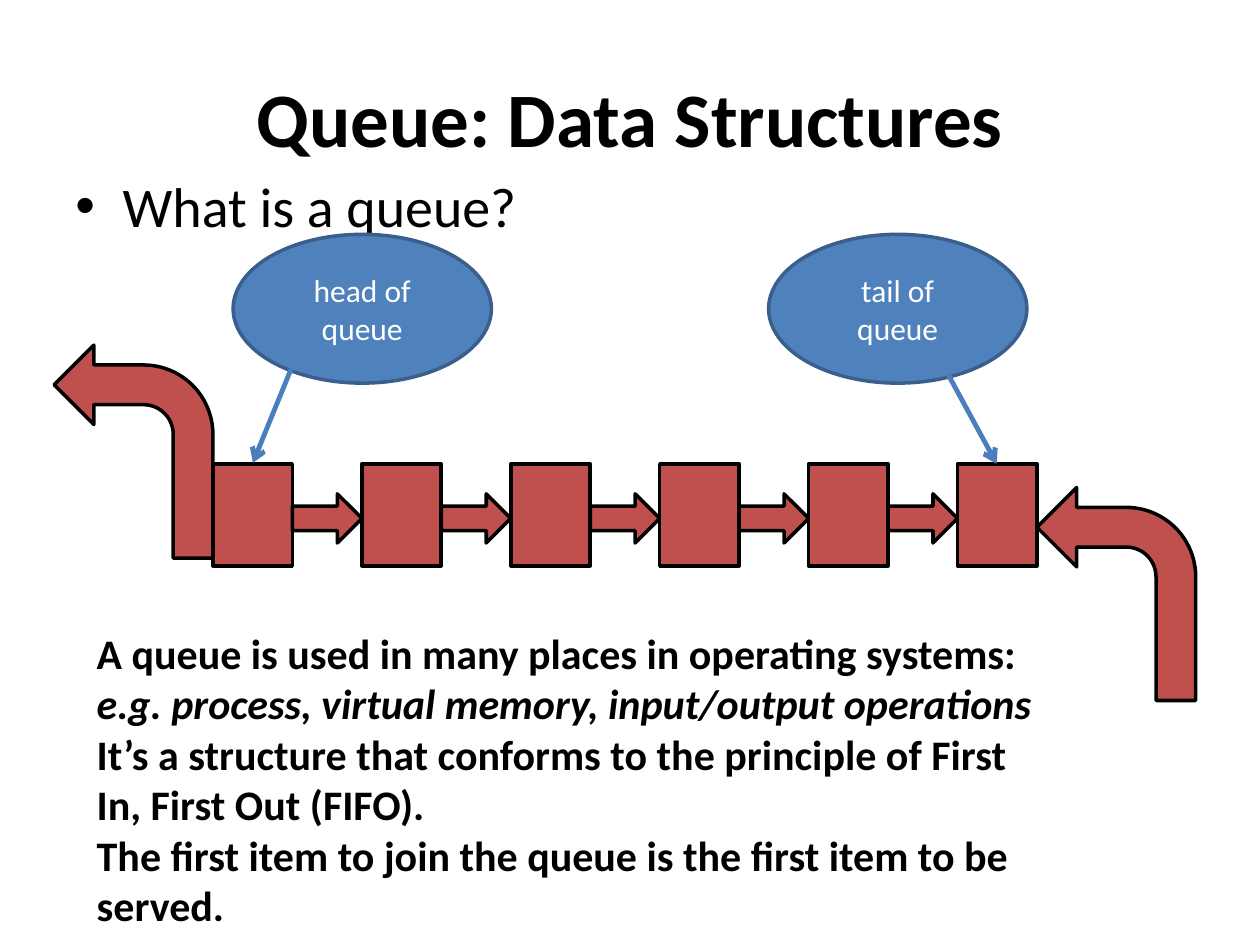
from lxml import etree
from pptx import Presentation
from pptx.dml.color import RGBColor
from pptx.enum.shapes import MSO_CONNECTOR, MSO_SHAPE
from pptx.enum.text import MSO_ANCHOR, PP_ALIGN
from pptx.oxml.ns import qn
from pptx.util import Pt

RECTANGLE, ELLIPSE = MSO_SHAPE.RECTANGLE, MSO_SHAPE.OVAL
RIGHT_ARROW, BENT_ARROW = MSO_SHAPE.RIGHT_ARROW, MSO_SHAPE.BENT_ARROW
STRAIGHT = MSO_CONNECTOR.STRAIGHT
LEFT, CENTER = PP_ALIGN.LEFT, PP_ALIGN.CENTER
TOP, MIDDLE = MSO_ANCHOR.TOP, MSO_ANCHOR.MIDDLE

FONT = "Calibri"
COLORS = {
    "text": "000000",
    "label": "FFFFFF",
    "item": "C0504D",
    "item line": "000000",
    "callout": "4F81BD",
    "callout line": "3A5F8C",
    "pointer": "4B7EBC",
}

# Queue layout, in points
ITEM_COUNT = 6
ITEM_LEFT, ITEM_TOP = 121.7, 265
ITEM_WIDTH, ITEM_HEIGHT = 45.4, 58.3
ITEM_PITCH = 85.1
LINK_TOP, LINK_HEIGHT = 282.2, 28.1
BENT_WIDTH, BENT_HEIGHT = 90.7, 121.7

USES = [
    [("A queue is used in many places in operating systems: ", False),
     ("e.g. process, virtual memory, input/output operations", True)],
    [("It’s a structure that conforms to the principle of First In, "
      "First Out (FIFO).", False)],
    [("The first item to join the queue is the first item to be served.",
      False)],
]


def color(name):
    return RGBColor.from_string(COLORS[name])


def write_text(holder, paragraphs, size, ink="text", bold=False, align=LEFT,
               anchor=TOP, bullet=False):
    """Fill a shape with paragraphs, each a list of (text, italic) spans."""
    frame = holder.text_frame
    frame.word_wrap = True
    frame.vertical_anchor = anchor
    for index, spans in enumerate(paragraphs):
        para = frame.add_paragraph() if index else frame.paragraphs[0]
        para.alignment = align
        if bullet:
            add_bullet(para)
        for text, italic in spans:
            span = para.add_run()
            span.text = text
            span.font.name = FONT
            span.font.size = Pt(size)
            span.font.bold = bold
            span.font.italic = italic
            span.font.color.rgb = color(ink)


def add_bullet(para):
    properties = para._p.get_or_add_pPr()
    properties.set("marL", str(Pt(27)))
    properties.set("indent", str(-Pt(27)))
    etree.SubElement(properties, qn("a:buFont"), typeface="Arial")
    etree.SubElement(properties, qn("a:buChar"), char="•")


def add_text(page, left, top, width, height, paragraphs, **text_format):
    box = page.shapes.add_textbox(Pt(left), Pt(top), Pt(width), Pt(height))
    write_text(box, paragraphs, **text_format)


def add_shape(page, kind, left, top, width, height, fill="item"):
    shape = page.shapes.add_shape(kind, Pt(left), Pt(top), Pt(width), Pt(height))
    shape.shadow.inherit = False
    shape.fill.solid()
    shape.fill.fore_color.rgb = color(fill)
    shape.line.color.rgb = color(fill + " line")
    shape.line.width = Pt(2)
    return shape


def add_bent_arrow(page, left, top):
    """Add an arrow that rises and then turns to the left."""
    arrow = add_shape(page, BENT_ARROW, left, top, BENT_WIDTH, BENT_HEIGHT)
    arrow._element.spPr.find(qn("a:xfrm")).set("flipH", "1")


def add_callout(page, left, label):
    callout = add_shape(page, ELLIPSE, left, 133.9, 147.6, 85, fill="callout")
    write_text(callout, [[(label, False)]], size=18, ink="label",
               align=CENTER, anchor=MIDDLE)


def add_pointer(page, *ends):
    pointer = page.shapes.add_connector(STRAIGHT, *map(Pt, ends))
    pointer.line.color.rgb = color("pointer")
    pointer.line.width = Pt(2.75)
    etree.SubElement(pointer.line._get_or_add_ln(), qn("a:tailEnd"), type="arrow")
    etree.SubElement(pointer._element.spPr, qn("a:effectLst"))


def add_queue(page):
    for index in range(ITEM_COUNT):
        left = ITEM_LEFT + index * ITEM_PITCH
        add_shape(page, RECTANGLE, left, ITEM_TOP, ITEM_WIDTH, ITEM_HEIGHT)
        if index < ITEM_COUNT - 1:
            add_shape(page, RIGHT_ARROW, left + ITEM_WIDTH, LINK_TOP,
                      ITEM_PITCH - ITEM_WIDTH, LINK_HEIGHT)


def main():
    deck = Presentation()
    deck.slide_width, deck.slide_height = Pt(720), Pt(540)
    page = deck.slides.add_slide(deck.slide_layouts[6])

    # Question and title
    add_text(page, 36, 94.5, 648, 388, [[("What is a queue?", False)]],
             size=32, bullet=True)
    add_text(page, 36, 21.6, 648, 90, [[("Queue: Data Structures", False)]],
             size=44, bold=True, align=CENTER, anchor=MIDDLE)

    # Queue with the way out at its head
    add_queue(page)
    add_bent_arrow(page, ITEM_LEFT - BENT_WIDTH, 197.2)

    # Explanation
    add_text(page, 48.2, 355, 561.6, 181.4, USES, size=24, bold=True)

    # Callouts with their pointers
    add_callout(page, 133.2, "head of queue")
    add_callout(page, 439.2, "tail of queue")
    add_pointer(page, 166.3, 211, 144.5, 264.5)
    add_pointer(page, 541.8, 214, 569.5, 265)

    # Way in at the tail
    tail_right = ITEM_LEFT + (ITEM_COUNT - 1) * ITEM_PITCH + ITEM_WIDTH
    add_bent_arrow(page, tail_right, 278.6)

    deck.save("out.pptx")


if __name__ == "__main__":
    main()
